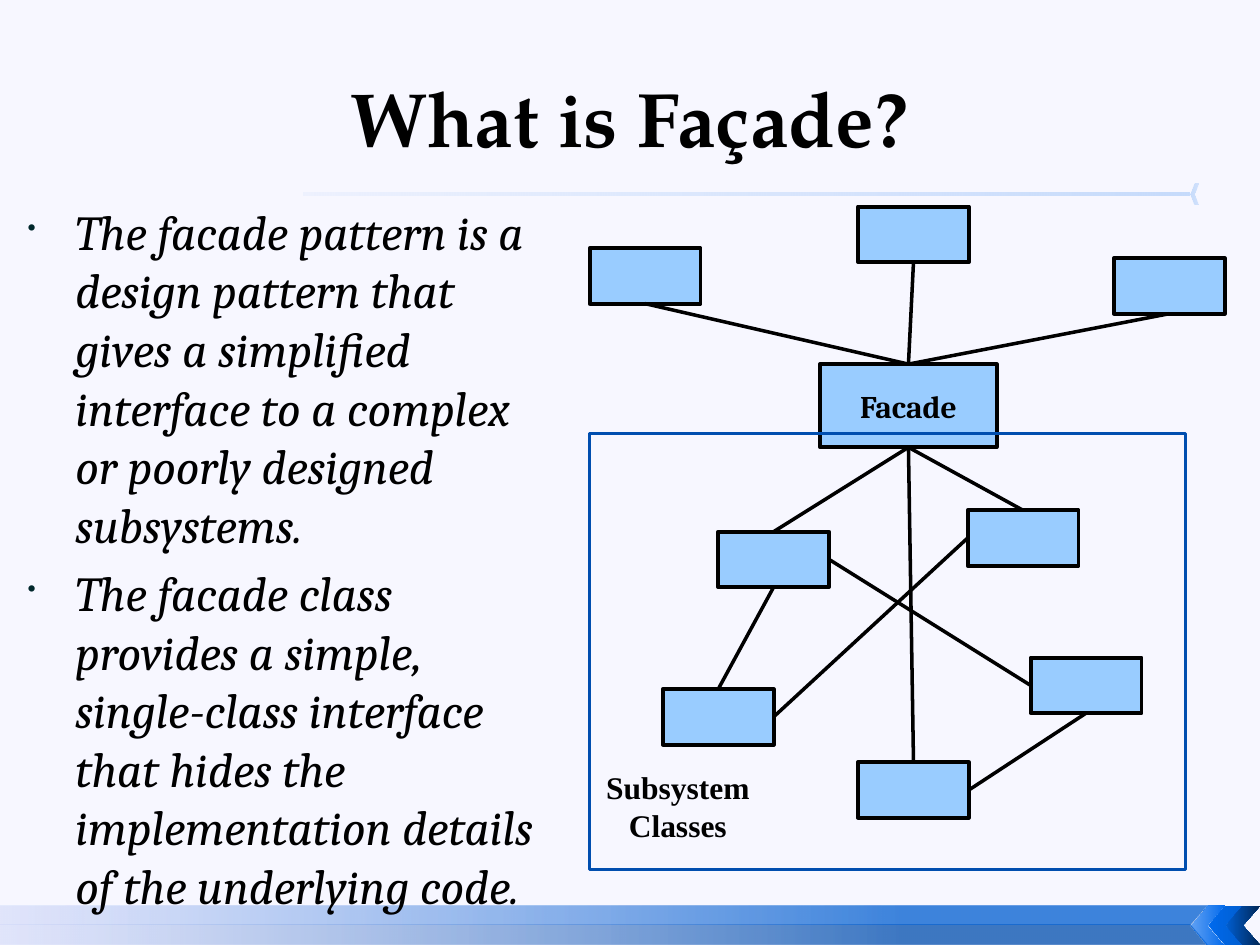
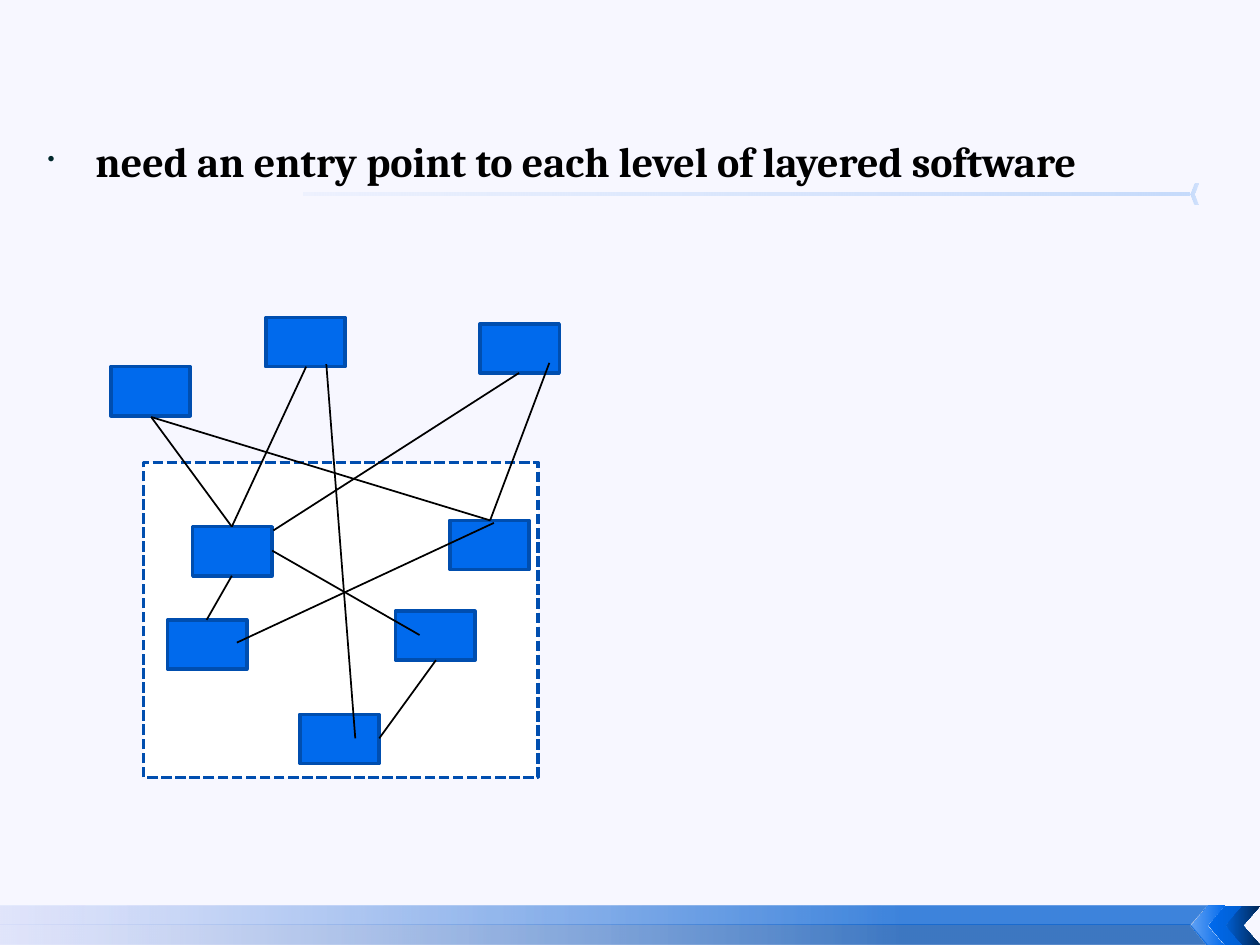
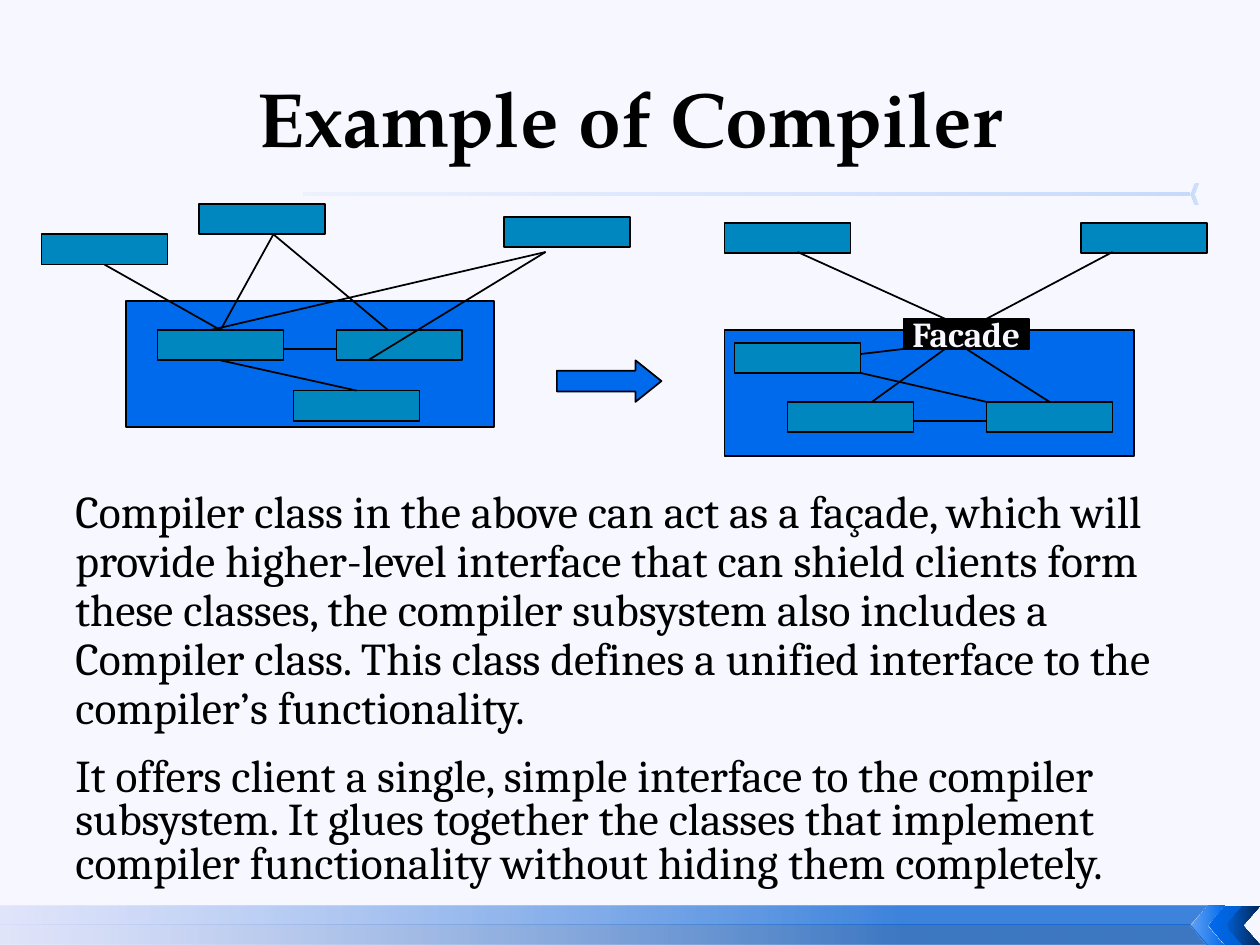
"""Build three slides on the facade pattern."""
from dataclasses import dataclass
from typing import NamedTuple

from lxml.etree import SubElement
from pptx import Presentation
from pptx.dml.color import RGBColor
from pptx.enum.dml import MSO_LINE
from pptx.enum.shapes import MSO_CONNECTOR, MSO_SHAPE
from pptx.enum.text import MSO_ANCHOR, PP_ALIGN
from pptx.oxml.ns import qn
from pptx.util import Inches, Pt


@dataclass(frozen=True)
class Theme:
    page: str = "F7F7FF"
    ink: str = "000000"
    white: str = "FFFFFF"
    blue: str = "006AED"
    mid: str = "005ED1"
    deep: str = "004EAF"
    navy: str = "002757"
    mist: str = "CCD4F8"
    sky: str = "99CCFF"
    teal: str = "0087BF"
    dot: str = "00272B"
    serif: str = "Cambria"
    head: str = "TeX Gyre Pagella"
    times: str = "Times New Roman"
    title: float = 44
    lead: float = 27.9
    body: float = 26
    point: float = 24
    label: float = 18
    tag: float = 20


T = Theme()
TOP, LEFT, BASE, RIGHT = range(4)


class Rect(NamedTuple):
    x: float
    y: float
    w: float
    h: float


class Stop(NamedTuple):
    pos: int
    color: str
    alpha: int = 100


class Font(NamedTuple):
    size: float
    face: str = T.serif
    color: str = T.ink
    bold: bool = False
    slant: bool = False


class Look(NamedTuple):
    fill: str | None
    line: str
    width: float


class Edge(NamedTuple):
    x1: float
    y1: float
    x2: float
    y2: float


class Link(NamedTuple):
    start: str
    out: int
    end: str
    into: int


class Para(NamedTuple):
    text: str
    space: float = 1.0
    before: float = 0.2


def rgb(code: str) -> RGBColor:
    return RGBColor.from_string(code)


def blend(shape, stops: list[Stop]) -> None:
    shape.shadow.inherit = False
    shape.line.fill.background()
    shape.fill.gradient()
    grad = shape.fill._xPr.find(qn("a:gradFill"))
    for child in list(grad):
        grad.remove(child)
    grad.set("rotWithShape", "1")
    items = SubElement(grad, qn("a:gsLst"))
    for stop in stops:
        item = SubElement(items, qn("a:gs"), pos=str(stop.pos * 1000))
        tint = SubElement(item, qn("a:srgbClr"), val=stop.color)
        if stop.alpha < 100:
            SubElement(tint, qn("a:alpha"), val=str(stop.alpha * 1000))
    SubElement(grad, qn("a:lin"), ang="10800000", scaled="0")


def place(slide, kind: MSO_SHAPE, area: Rect):
    return slide.shapes.add_shape(kind, *map(Inches, area))


def box(slide, area: Rect, look: Look, kind: MSO_SHAPE = MSO_SHAPE.RECTANGLE):
    shape = place(slide, kind, area)
    shape.shadow.inherit = False
    if look.fill:
        shape.fill.solid()
        shape.fill.fore_color.rgb = rgb(look.fill)
    else:
        shape.fill.background()
    shape.line.color.rgb = rgb(look.line)
    shape.line.width = Pt(look.width)
    return shape


def boxes(slide, spots: list[tuple], size: tuple, look: Look) -> None:
    for spot in spots:
        box(slide, Rect(*spot, *size), look)


def line(slide, edge: Edge, width: float):
    wire = slide.shapes.add_connector(MSO_CONNECTOR.STRAIGHT, *map(Inches, edge))
    wire.line.color.rgb = rgb(T.ink)
    wire.line.width = Pt(width)
    SubElement(wire._element.spPr, qn("a:effectLst"))
    return wire


def lines(slide, edges: list[tuple], width: float = 1) -> None:
    for edge in edges:
        line(slide, Edge(*edge), width)


def style(para, font: Font) -> None:
    for run in para.runs:
        run.font.size = Pt(font.size)
        run.font.name = font.face
        run.font.bold = font.bold
        run.font.italic = font.slant
        run.font.color.rgb = rgb(font.color)


def label(shape, text: str, font: Font, wrap: bool) -> None:
    frame = shape.text_frame
    frame.word_wrap = wrap
    frame.vertical_anchor = MSO_ANCHOR.MIDDLE
    frame.text = text
    frame.paragraphs[0].alignment = PP_ALIGN.CENTER
    style(frame.paragraphs[0], font)


def caption(slide, area: Rect, text: str, font: Font) -> None:
    label(slide.shapes.add_textbox(*map(Inches, area)), text, font, True)


def title(slide, text: str) -> None:
    caption(slide, Rect(0.5, 0.3, 9, 1.25), text, Font(T.title, T.head, bold=True))


def bullet(para) -> None:
    props = para._p.get_or_add_pPr()
    props.set("marL", str(Inches(0.38)))
    props.set("indent", str(Inches(-0.38)))
    tint = SubElement(props, qn("a:buClr"))
    SubElement(tint, qn("a:srgbClr"), val=T.dot)
    SubElement(props, qn("a:buSzPct"), val="50000")
    SubElement(props, qn("a:buChar"), char="•")


def prose(slide, area: Rect, paras: list[Para], font: Font, dots: bool) -> None:
    frame = slide.shapes.add_textbox(*map(Inches, area)).text_frame
    frame.word_wrap = True
    frame.text = "\n".join(item.text for item in paras)
    for para, item in zip(frame.paragraphs, paras):
        para.line_spacing = item.space
        para.space_before = Pt(round(font.size * item.before, 1))
        style(para, font)
        if dots:
            bullet(para)


def band(slide, edge: float, color: str) -> None:
    points = [(0, edge), (0, 7.34), (9.44, 7.34)]
    pen = slide.shapes.build_freeform(Inches(9.58), Inches(edge))
    pen.add_line_segments([(Inches(x), Inches(y)) for x, y in points], close=True)
    blend(pen.convert_to_shape(), [Stop(25, color, 75), Stop(100, T.mist, 50)])


def chevron(slide, area: Rect, start: Stop, end: Stop) -> None:
    shape = place(slide, MSO_SHAPE.CHEVRON, area)
    shape._element.spPr.find(qn("a:xfrm")).set("flipH", "1")
    blend(shape, [start, end])


def page(deck):
    slide = deck.slides.add_slide(deck.slide_layouts[6])
    slide.background.fill.solid()
    slide.background.fill.fore_color.rgb = rgb(T.page)
    band(slide, 7.5, T.deep)
    band(slide, 7.19, T.mid)
    tones = [(T.blue, T.blue, 60), (T.blue, T.mid, 100), (T.mid, T.navy, 100)]
    for i, (start, end, alpha) in enumerate(tones):
        area = Rect(9.45 + 0.14 * i, 7.19, 0.27, 0.31)
        chevron(slide, area, Stop(0, start, alpha), Stop(100, end))
    chevron(slide, Rect(9.45, 1.46, 0.06, 0.16), Stop(0, T.blue, 20), Stop(100, T.blue, 15))
    rule = place(slide, MSO_SHAPE.RECTANGLE, Rect(2.41, 1.53, 7.03, 0.02))
    blend(rule, [Stop(0, T.blue, 20), Stop(100, T.blue, 4)])
    return slide


def intro(deck) -> None:
    slide = page(deck)
    title(slide, "What is Façade?")
    prose(slide, Rect(0.12, 1.55, 4.38, 5.23), [
        Para("The facade pattern is a design pattern that gives a simplified "
             "interface to a complex or poorly designed subsystems. "),
        Para("The facade class provides a simple, single-class interface that "
             "hides the implementation details of the underlying code."),
    ], Font(T.lead, slant=True), True)
    caption(slide, Rect(4.45, 6.04, 1.86, 0.71), "Subsystem Classes",
            Font(T.label, T.times, bold=True))
    look = Look(T.sky, T.ink, 2.25)
    spots = {
        "store": (5.26, 5.47), "base": (6.81, 6.05), "east": (8.18, 5.22),
        "north": (7.68, 4.05), "west": (5.7, 4.22),
        "right": (8.84, 2.05), "mid": (6.81, 1.64), "left": (4.68, 1.97),
    }
    nodes = {name: box(slide, Rect(*spot, 0.88, 0.44), look)
             for name, spot in spots.items()}
    nodes["front"] = box(slide, Rect(6.51, 2.89, 1.4, 0.66), look)
    label(nodes["front"], "Facade", Font(T.label, bold=True), False)
    links = [
        Link("west", BASE, "store", TOP), Link("west", TOP, "front", BASE),
        Link("west", RIGHT, "east", LEFT), Link("north", LEFT, "store", RIGHT),
        Link("east", BASE, "base", RIGHT), Link("left", BASE, "front", TOP),
        Link("mid", BASE, "front", TOP), Link("right", BASE, "front", TOP),
        Link("north", TOP, "front", BASE), Link("base", TOP, "front", BASE),
    ]
    for link in links:
        wire = line(slide, Edge(0, 0, 1, 1), 2)
        wire.begin_connect(nodes[link.start], link.out)
        wire.end_connect(nodes[link.end], link.into)
    box(slide, Rect(4.68, 3.44, 4.73, 3.46), Look(None, T.deep, 2))


def layers(deck) -> None:
    slide = page(deck)
    prose(slide, Rect(0.28, 1.03, 9, 4.95),
          [Para("need an entry point to each level of layered software")],
          Font(T.point, bold=True), True)
    frame = box(slide, Rect(1.14, 3.67, 3.13, 2.5), Look(T.white, T.deep, 2))
    frame.line.dash_style = MSO_LINE.SQUARE_DOT
    boxes(slide, [
        (1.53, 4.18), (1.33, 4.92), (2.38, 5.67), (3.14, 4.85), (3.57, 4.13),
        (0.88, 2.91), (2.11, 2.52), (3.81, 2.57),
    ], (0.63, 0.39), Look(T.blue, T.deep, 2))
    lines(slide, [
        (3.01, 5.86, 3.46, 5.24), (1.64, 4.92, 1.84, 4.57),
        (1.88, 5.1, 3.92, 4.15), (3.33, 5.04, 2.16, 4.37),
        (1.2, 3.31, 1.84, 4.18), (1.2, 3.31, 3.89, 4.13),
        (2.43, 2.91, 1.84, 4.18), (2.59, 2.89, 2.82, 5.86),
        (4.36, 2.88, 3.89, 4.13), (4.12, 2.96, 2.17, 4.21),
    ])


def sample(deck) -> None:
    slide = page(deck)
    title(slide, "Example of Compiler")
    prose(slide, Rect(0.5, 3.83, 9, 3.31), [
        Para("Compiler class in the above can act as a façade, which will provide "
             "higher-level interface that can shield clients form these classes, "
             "the compiler subsystem also includes a Compiler class. This class "
             "defines a unified interface to the compiler’s functionality. ", 0.9, 0.5),
        Para("It offers client a single, simple interface to the compiler subsystem. "
             "It glues together the classes that implement compiler functionality "
             "without hiding them completely.", 0.8, 0.5),
    ], Font(T.body), False)
    field = Look(T.blue, T.ink, 1)
    size = (1, 0.24)
    box(slide, Rect(5.75, 2.62, 3.25, 1), field)
    box(slide, Rect(1, 2.39, 2.92, 1), field)
    boxes(slide, [
        (0.33, 1.86), (1.25, 2.62), (2.67, 2.62), (1.58, 1.62), (4, 1.72),
        (2.33, 3.1), (5.83, 2.72), (7.83, 3.19), (6.25, 3.19),
        (5.75, 1.77), (8.58, 1.77),
    ], size, Look(T.teal, T.ink, 1))
    front = box(slide, Rect(7.17, 2.53, *size), Look(T.ink, T.ink, 1))
    label(front, "Facade", Font(T.tag, color=T.page, bold=True), False)
    lines(slide, [
        (0.83, 2.1, 1.75, 2.62), (3.08, 2.62, 2.17, 1.86),
        (2.17, 1.86, 1.75, 2.62), (4.33, 2, 1.67, 2.62),
        (1.75, 2.86, 2.83, 3.1), (2.25, 2.77, 2.67, 2.77),
        (4.33, 2, 2.92, 2.86), (6.33, 2, 7.5, 2.53),
        (8.83, 2, 7.83, 2.53), (7.17, 2.77, 6.83, 2.81),
        (7.5, 2.77, 6.92, 3.19), (6.83, 2.96, 7.83, 3.19),
        (7.67, 2.77, 8.33, 3.19), (7.25, 3.34, 7.83, 3.34),
    ])
    arrow = box(slide, Rect(4.42, 2.86, 0.83, 0.33), field, MSO_SHAPE.RIGHT_ARROW)
    arrow.adjustments[1] = 0.625


def main() -> None:
    deck = Presentation()
    deck.slide_width, deck.slide_height = Inches(10), Inches(7.5)
    for build in (intro, layers, sample):
        build(deck)
    deck.save("out.pptx")


main()
